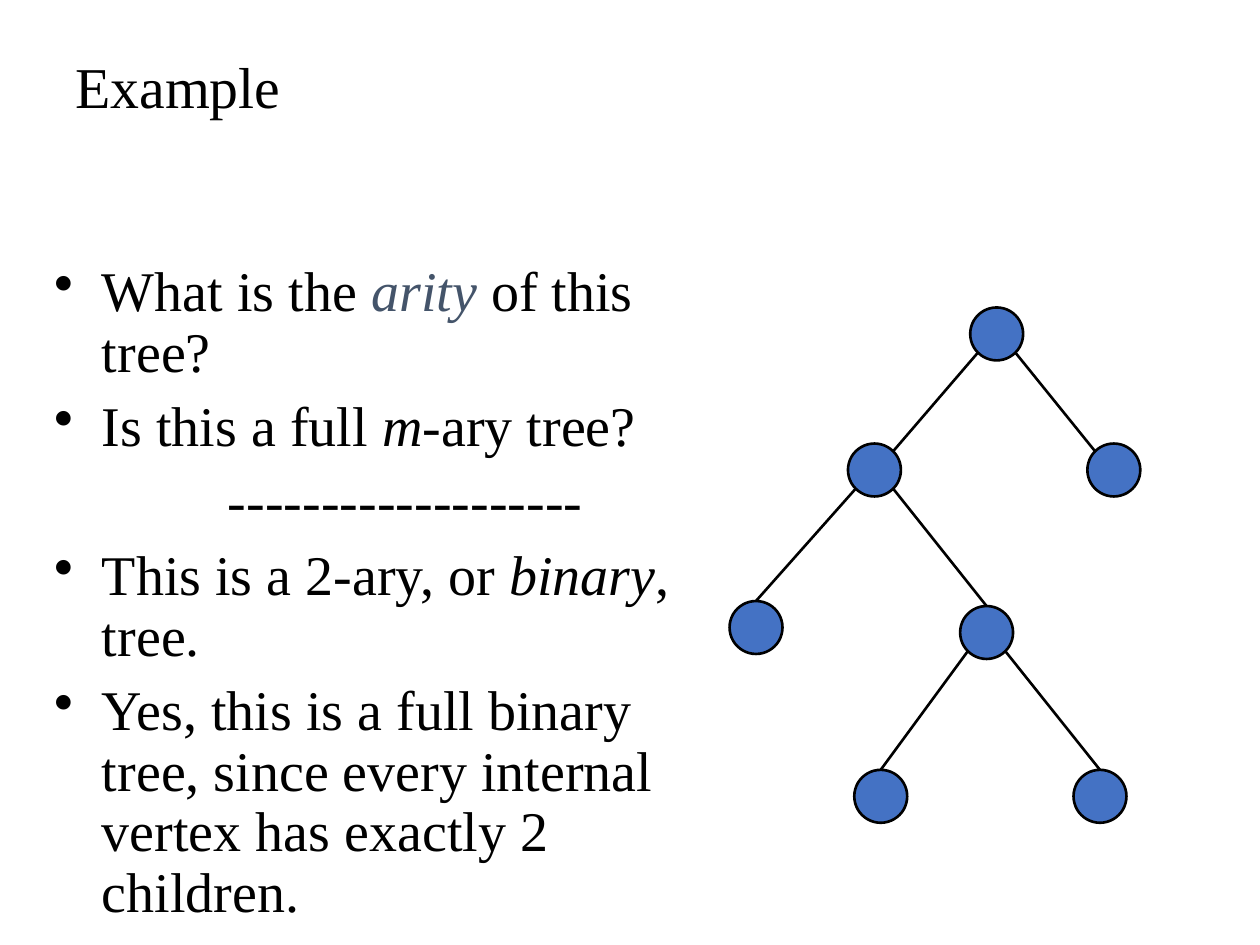
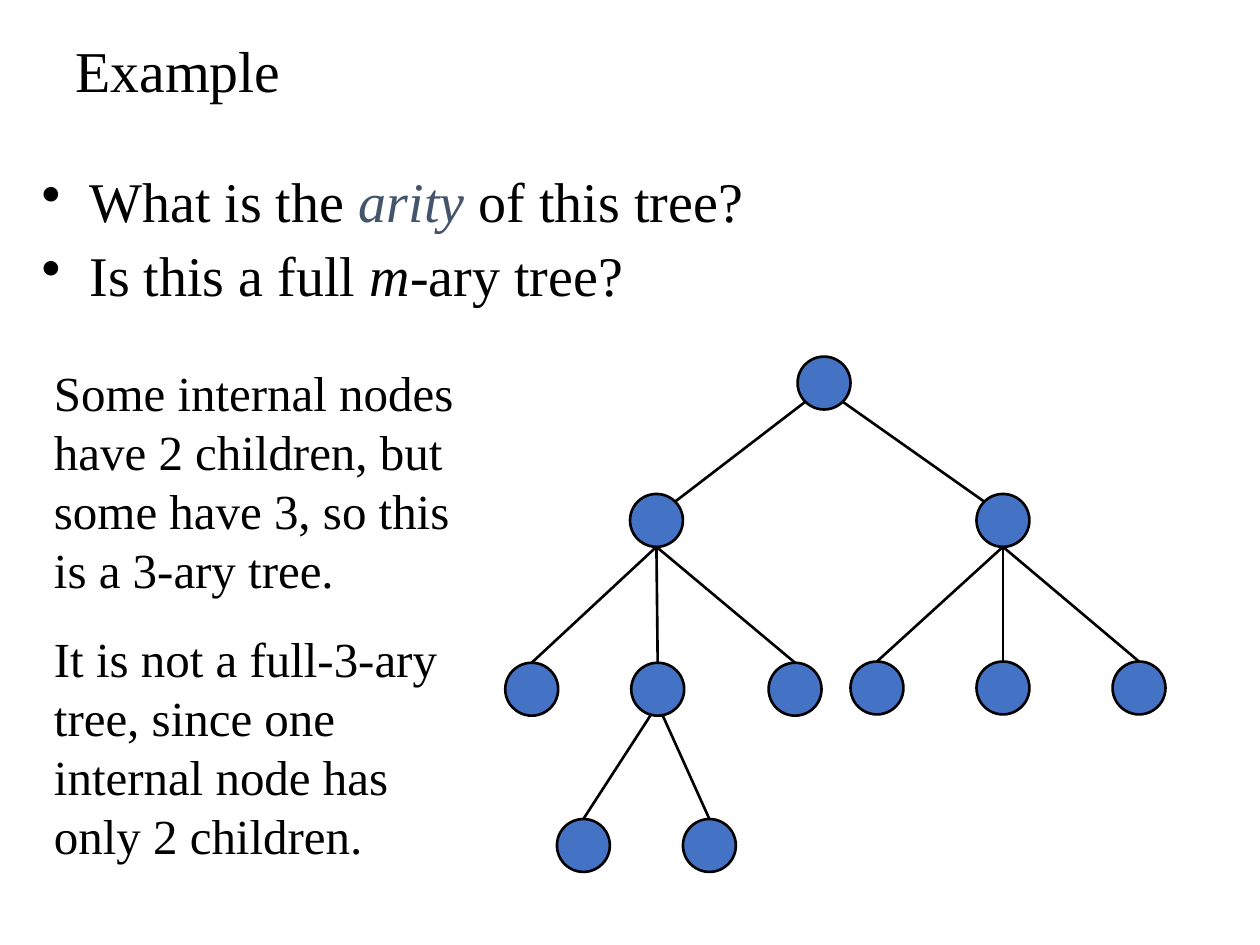
from lxml import etree
from pptx import Presentation
from pptx.dml.color import RGBColor
from pptx.enum.shapes import MSO_CONNECTOR, MSO_SHAPE
from pptx.enum.text import MSO_ANCHOR
from pptx.oxml.ns import qn
from pptx.util import Inches, Pt

LINE = MSO_CONNECTOR.STRAIGHT
OVAL = MSO_SHAPE.OVAL
TOP, MID = MSO_ANCHOR.TOP, MSO_ANCHOR.MIDDLE
INK, NODE, TERM = "000000", "4472C4", "44546A"
FONT = "Times New Roman"
SIZE = 0.42
HANG = 0.38
DASH = "-" * 19

SPOT = {
    "n": (0.21, 0), "s": (0.21, 0.42), "low": (0.21, 0.33),
    "nw": (0.06, 0.06), "ne": (0.36, 0.06),
    "sw": (0.06, 0.36), "se": (0.36, 0.36),
}

STYLE = {
    "title": dict(size=33, lead=0.9, gap=0, side=0.1, anchor=MID, list=False),
    "body": dict(size=32, lead=0.9, gap=8, side=0, anchor=TOP, list=True),
    "note": dict(size=28, lead=1, gap=17.5, side=0.1, anchor=TOP, list=False),
}

ASK = ["What is the *arity* of this tree?", "Is this a full *m*-ary tree?"]

SLIDES = [
    dict(
        texts=[
            ("title", (0.5, 0.17, 9, 1.08), ["Example"]),
            ("body", (0.43, 2.04, 5.23, 5.29), ASK + [
                DASH,
                "This is a 2-ary, or *binary*, tree.",
                "Yes, this is a full binary tree, since every internal "
                "vertex has exactly 2 children.",
            ]),
        ],
        nodes=dict(
            root=(7.7, 2.44), a=(6.73, 3.52), b=(8.63, 3.52),
            c=(5.79, 4.77), d=(7.62, 4.81), e=(6.78, 6.11), f=(8.52, 6.11),
        ),
        edges=[
            ("root", "sw", "a", "ne"), ("root", "se", "b", "nw"),
            ("a", "sw", "c", "n"), ("a", "se", "d", "n"),
            ("d", "sw", "e", "n"), ("d", "se", "f", "n"),
        ],
    ),
    dict(
        texts=[
            ("title", (0.5, 0.17, 9, 0.83), ["Example"]),
            ("body", (0.33, 1.33, 6.49, 1.25), ASK),
            ("note", (0.33, 2.83, 3.42, 4.08), [
                "Some internal nodes have 2 children, but some have 3, "
                "so this is a 3-ary tree.",
                "It is not a full-3-ary tree, since one internal node has "
                "only 2 children.",
            ]),
        ],
        nodes=dict(
            root=(6.33, 2.83), a=(5, 3.92), b=(7.75, 3.92),
            c=(4.01, 5.26), d=(5.01, 5.26), e=(6.1, 5.26),
            f=(6.75, 5.25), g=(7.75, 5.25), h=(8.83, 5.25),
            i=(4.42, 6.5), j=(5.42, 6.5),
        ),
        edges=[("root", "sw", "a", "ne"), ("root", "se", "b", "nw")]
        + [("a", "s", kid, "n") for kid in "cde"]
        + [("b", "s", kid, "n") for kid in "fgh"]
        + [("d", "low", kid, "n") for kid in "ij"],
    ),
]


def paint(color, code):
    color.rgb = RGBColor.from_string(code)


def write(slide, kind, box, lines):
    look = STYLE[kind]
    frame = slide.shapes.add_textbox(*map(Inches, box)).text_frame
    frame.word_wrap = True
    frame.vertical_anchor = look["anchor"]
    frame.margin_left = frame.margin_right = Inches(look["side"])
    for row, line in enumerate(lines):
        para = frame.paragraphs[0] if row == 0 else frame.add_paragraph()
        para.line_spacing = look["lead"]
        para.space_before = Pt(look["gap"] if row else 0)
        if look["list"]:
            props = para._p.get_or_add_pPr()
            plain = line == DASH
            props.set("marL", str(Inches(HANG + 1 if plain else HANG)))
            props.set("indent", str(Inches(0 if plain else -HANG)))
            if not plain:
                tint = etree.SubElement(props, qn("a:buClr"))
                etree.SubElement(tint, qn("a:srgbClr")).set("val", INK)
                etree.SubElement(props, qn("a:buChar")).set("char", "•")
        for part, words in enumerate(line.split("*")):
            run = para.add_run()
            run.text = words
            fmt = dict(name=FONT, size=Pt(look["size"]), italic=part % 2 == 1)
            for key, value in fmt.items():
                setattr(run.font, key, value)
            paint(run.font.color, TERM if words == "arity" else INK)


deck = Presentation()
deck.slide_width, deck.slide_height = Inches(10), Inches(7.5)

for page in SLIDES:
    slide = deck.slides.add_slide(deck.slide_layouts[6])
    for kind, box, lines in page["texts"]:
        write(slide, kind, box, lines)

    tree = slide.shapes.add_group_shape().shapes
    nodes = page["nodes"]
    for up, out, down, into in page["edges"]:
        ends = [
            Inches(at + off)
            for name, spot in ((up, out), (down, into))
            for at, off in zip(nodes[name], SPOT[spot])
        ]
        edge = tree.add_connector(LINE, *ends)
        paint(edge.line.color, INK)
        edge.line.width = Pt(1.5)
        etree.SubElement(edge._element.spPr, qn("a:effectLst"))

    for left, top in nodes.values():
        node = tree.add_shape(OVAL, *map(Inches, (left, top, SIZE, SIZE)))
        node.shadow.inherit = False
        node.fill.solid()
        paint(node.fill.fore_color, NODE)
        paint(node.line.color, INK)
        node.line.width = Pt(1.5)

deck.save("out.pptx")
